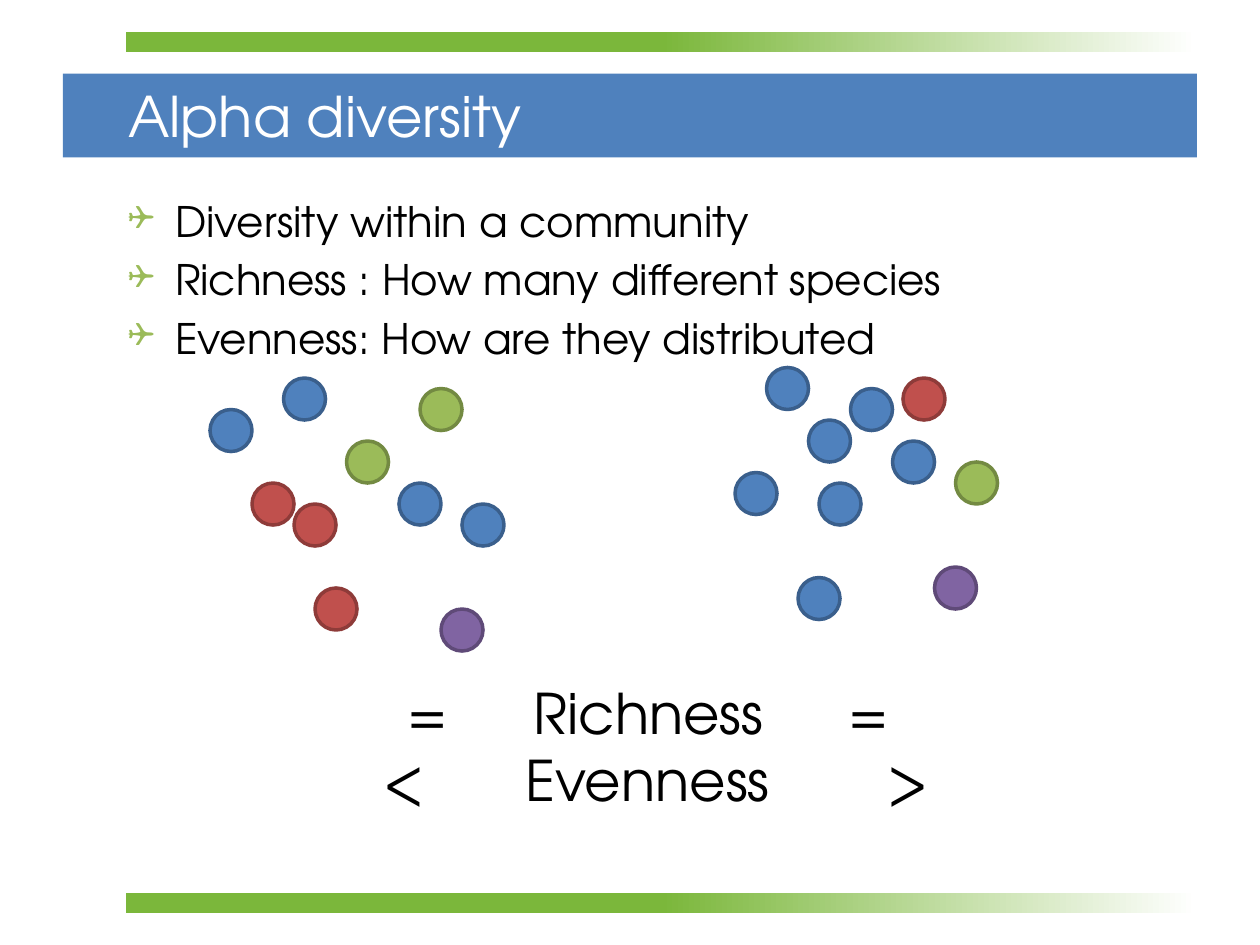
"""Build the alpha diversity slide with two sample communities."""
from lxml import etree
from pptx import Presentation
from pptx.dml.color import RGBColor
from pptx.enum.shapes import MSO_SHAPE
from pptx.enum.text import MSO_ANCHOR, PP_ALIGN
from pptx.oxml.ns import qn
from pptx.util import Pt

RECT, OVAL = MSO_SHAPE.RECTANGLE, MSO_SHAPE.OVAL
TOP, MIDDLE = MSO_ANCHOR.TOP, MSO_ANCHOR.MIDDLE
LEFT, CENTER = PP_ALIGN.LEFT, PP_ALIGN.CENTER
FACE = "TeX Gyre Adventor"
DOT = 24
COLORS = {
    "black": "000000", "white": "FFFFFF", "leaf": "7BB73B",
    "blue": "4F81BD", "green": "9BBB59", "red": "C0504D", "purple": "8064A2",
}
EDGES = {"blue": "3A5F8C", "green": "738A42", "red": "8E3B39", "purple": "5F4A78"}
POINTS = [
    "Diversity within a community",
    "Richness : How many different species",
    "Evenness: How are they distributed",
]
RESULTS = ["= \t\tRichness\t\t= ", "<\t\t Evenness \t\t>"]
EVEN = {
    "blue": [(162, 216), (228, 276), (264, 288), (120, 234)],
    "green": [(198, 252), (240, 222)],
    "red": [(180, 336), (144, 276), (168, 288)],
    "purple": [(252, 348)],
}
SKEWED = {
    "blue": [(438, 210), (510, 252), (468, 276), (456, 330),
             (420, 270), (462, 240), (486, 222)],
    "green": [(546, 264)],
    "red": [(516, 216)],
    "purple": [(534, 324)],
}


def rgb(code):
    """Turn a hex string into a colour."""
    return RGBColor.from_string(code)


def place(shape, box):
    """Set a shape's left, top, width and height in points."""
    for name, value in zip(("left", "top", "width", "height"), box):
        setattr(shape, name, Pt(value))


def add_bar(slide, top):
    """Add a green bar that fades to white on the right."""
    bar = slide.shapes.add_shape(RECT, Pt(72), Pt(top), Pt(612), Pt(12))
    bar.shadow.inherit = False
    bar.line.fill.background()
    bar.fill.gradient()
    bar.fill.gradient_angle = 0
    ends = ((0.5, "leaf"), (1, "white"))
    for stop, (spot, color) in zip(bar.fill.gradient_stops, ends):
        stop.position = spot
        stop.color.rgb = rgb(COLORS[color])


def add_band(slide):
    """Add the blue band behind the title."""
    band = slide.shapes.add_shape(RECT, Pt(36), Pt(42), Pt(648), Pt(48))
    band.shadow.inherit = False
    band.fill.solid()
    band.fill.fore_color.rgb = rgb(COLORS["blue"])
    band.line.fill.background()


def add_dots(slide, group):
    """Add one community, with a colour for each species."""
    for color, spots in group.items():
        for left, top in spots:
            dot = slide.shapes.add_shape(OVAL, Pt(left), Pt(top), Pt(DOT), Pt(DOT))
            dot.shadow.inherit = False
            dot.fill.solid()
            dot.fill.fore_color.rgb = rgb(COLORS[color])
            dot.line.color.rgb = rgb(EDGES[color])
            dot.line.width = Pt(2)


def add_bullet(para):
    """Give a paragraph a green box bullet and a hanging indent."""
    props = para._p.get_or_add_pPr()
    props.set("marL", str(Pt(27)))
    props.set("indent", str(-Pt(27)))
    color = etree.SubElement(props, qn("a:buClr"))
    etree.SubElement(color, qn("a:srgbClr"), val=COLORS["green"])
    etree.SubElement(props, qn("a:buSzPct"), val="80000")
    etree.SubElement(props, qn("a:buFont"), typeface="Wingdings")
    etree.SubElement(props, qn("a:buChar"), char="❑")


def write(frame, lines, size, color="black", align=LEFT, anchor=TOP, gap=0, bullet=False):
    """Fill a text frame with formatted lines."""
    frame.word_wrap = True
    frame.vertical_anchor = anchor
    for index, line in enumerate(lines):
        para = frame.add_paragraph() if index else frame.paragraphs[0]
        para.alignment = align
        para.space_before = Pt(gap if index else 0)
        if bullet:
            add_bullet(para)
        run = para.add_run()
        run.text = line
        for name, value in {"name": FACE, "size": Pt(size)}.items():
            setattr(run.font, name, value)
        run.font.color.rgb = rgb(COLORS[color])


def add_title(slide, text):
    """Place the title over its band."""
    title = slide.shapes.title
    place(title, (66, 42, 618, 48))
    write(title.text_frame, [text], 32, "white", anchor=MIDDLE)
    title.element.getparent().append(title.element)


def add_text(slide, box, lines, size, **style):
    """Add a text box."""
    area = slide.shapes.add_textbox(*map(Pt, box))
    write(area.text_frame, lines, size, **style)


def main():
    """Build and save the slide."""
    deck = Presentation()
    deck.slide_width, deck.slide_height = Pt(720), Pt(540)
    slide = deck.slides.add_slide(deck.slide_layouts[5])
    add_band(slide)
    for top in (18, 510):
        add_bar(slide, top)
    add_title(slide, "Alpha diversity")
    add_text(slide, (66, 108, 618, 374), POINTS, 24, gap=4.8, bullet=True)
    for group in (EVEN, SKEWED):
        add_dots(slide, group)
    add_text(slide, (126, 384, 498, 85), RESULTS, 32, align=CENTER)
    deck.save("out.pptx")


if __name__ == "__main__":
    main()
